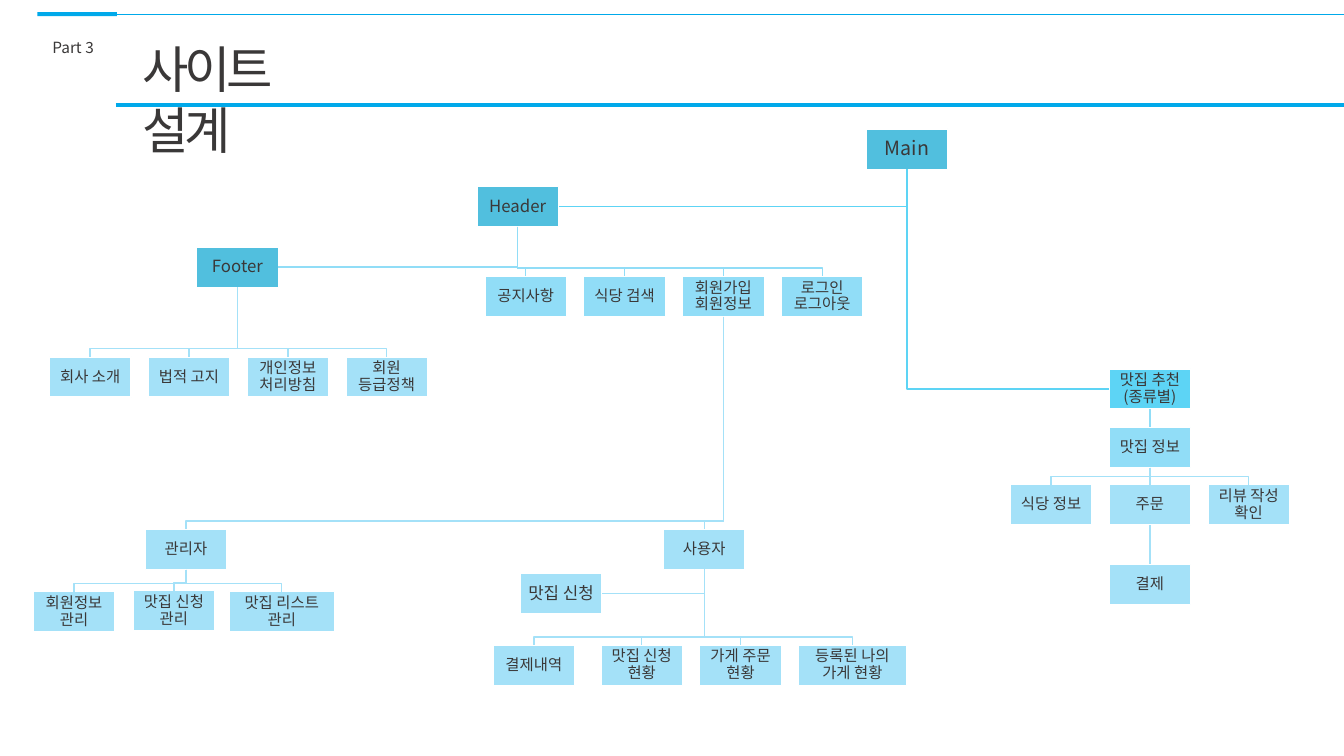
from dataclasses import dataclass

from lxml.etree import SubElement
from pptx import Presentation
from pptx.dml.color import RGBColor
from pptx.enum.shapes import MSO_CONNECTOR as CONNECTOR, MSO_SHAPE as SHAPE
from pptx.enum.text import MSO_ANCHOR as ANCHOR, PP_ALIGN as ALIGN
from pptx.oxml.ns import qn
from pptx.util import Inches, Pt

FONT = "Noto Sans CJK KR"
COLORS = {
    "accent": "00A9EA", "text": "3A3838", "white": "FFFFFF",
    "section": "51BFDE", "pick": "5DD4F5", "menu": "91DDF7", "page": "A4E1F8",
}
NODE_W, NODE_H = 0.81, 0.4
STEP = 0.98  # distance between neighbouring nodes
STUB = 0.08  # last vertical piece of a link


@dataclass
class Box:
    left: float
    top: float
    width: float = NODE_W
    height: float = NODE_H

    @property
    def center(self):
        return self.left + self.width / 2

    @property
    def middle(self):
        return self.top + self.height / 2

    @property
    def right(self):
        return self.left + self.width

    @property
    def bottom(self):
        return self.top + self.height

    def inches(self):
        return [Inches(v) for v in (self.left, self.top, self.width, self.height)]


def color(name):
    return RGBColor.from_string(COLORS[name])


# Basic parts
def write(frame, text, size, align=ALIGN.LEFT, spacing=1.0):
    paragraph = frame.paragraphs[0]
    paragraph.text = text
    paragraph.alignment = align
    paragraph.line_spacing = spacing
    font = paragraph.font
    font.size, font.name = Pt(size), FONT
    font.color.rgb = color("text")
    props = paragraph._p.pPr.find(qn("a:defRPr"))
    east_asian = SubElement(props, qn("a:ea"))
    east_asian.set("typeface", FONT)
    props.find(qn("a:latin")).addnext(east_asian)
    return props


def line(slide, x1, y1, x2, y2, color_name, weight):
    rule = slide.shapes.add_connector(
        CONNECTOR.STRAIGHT, *[Inches(v) for v in (x1, y1, x2, y2)])
    rule.line.color.rgb = color(color_name)
    rule.line.width = Pt(weight)
    SubElement(rule._element.spPr, qn("a:effectLst"))


def block(slide, box, fill):
    rect = slide.shapes.add_shape(SHAPE.RECTANGLE, *box.inches())
    rect.shadow.inherit = False
    rect.fill.solid()
    rect.fill.fore_color.rgb = color(fill)
    rect.line.fill.background()
    return rect


def node(slide, text, left, top, fill="page", size=11, width=NODE_W):
    box = Box(left, top, width)
    rect = block(slide, box, fill)
    rect.line.color.rgb = color("white")
    rect.line.width = Pt(1)
    frame = rect.text_frame
    frame.word_wrap = True
    frame.vertical_anchor = ANCHOR.MIDDLE
    frame.margin_left = frame.margin_right = Inches(0.01)
    frame.margin_top = frame.margin_bottom = Inches(0.01)
    write(frame, text, size, ALIGN.CENTER, 0.9)
    return box


def row(slide, texts, left, top, fill="page"):
    return [node(slide, text, left + i * STEP, top, fill) for i, text in enumerate(texts)]


# Links between nodes
def elbow(slide, points, color_name):
    (x, y), *rest = points
    builder = slide.shapes.build_freeform(Inches(x), Inches(y))
    builder.add_line_segments([(Inches(a), Inches(b)) for a, b in rest], close=False)
    path = builder.convert_to_shape()
    path.shadow.inherit = False
    path.fill.background()
    path.line.color.rgb = color(color_name)
    path.line.width = Pt(1)


def link_down(slide, parent, children, color_name="page"):
    for child in children:
        x, end, bus = parent.center, child.center, child.top - STUB
        if abs(x - end) < 0.01:
            line(slide, x, parent.bottom, x, child.top, color_name, 1)
        else:
            elbow(slide, [(x, parent.bottom), (x, bus), (end, bus), (end, child.top)],
                  color_name)


def link_side(slide, parent, child, color_name="page"):
    x = parent.center
    end = child.right if child.right < x else child.left
    elbow(slide, [(x, parent.bottom), (x, child.middle), (end, child.middle)], color_name)


# Regions of the slide
def title_band(slide, box):
    x, y = box.left, box.top
    line(slide, x + 0.78, y + 0.9, box.right, y + 0.9, "accent", 3)
    line(slide, x + 0.78, y, box.right, y, "accent", 0.5)
    block(slide, Box(x, y - 0.02, 0.79, 0.04), "accent")

    title = slide.shapes.title
    title.left, title.top, title.width, title.height = Box(x + 0.94, y + 0.19, 2.3, 0.71).inches()
    title.text_frame.word_wrap = True
    title.text_frame.vertical_anchor = ANCHOR.TOP
    write(title.text_frame, "사이트 설계", 36).set("spc", "-300")

    part = slide.shapes.add_textbox(*Box(x + 0.05, y + 0.19, 0.71, 0.29).inches())
    part.text_frame.word_wrap = True
    write(part.text_frame, "Part 3", 11)


def header_branch(slide, box):
    header = node(slide, "Header", box.left, box.top, "section", 12)
    menus = row(slide, ["공지사항", "식당 검색", "회원가입\n회원정보", "로그인\n로그아웃"],
                box.left + 0.08, box.top + 0.89, "menu")
    link_down(slide, header, menus, "menu")
    return header, menus[2]


def footer_branch(slide, box):
    footer = node(slide, "Footer", box.left + 1.46, box.top, "section", 12)
    pages = row(slide, ["회사 소개", "법적 고지", "개인정보\n처리방침", "회원\n등급정책"],
                box.left, box.top + 1.09)
    link_down(slide, footer, pages)
    return footer


def admin_branch(slide, box):
    x, y = box.left, box.top
    admin = node(slide, "관리자", x + 1.11, y)
    pages = [node(slide, "회원정보\n관리", x, y + 0.62),
             node(slide, "맛집 신청\n관리", x + 0.99, y + 0.61),
             node(slide, "맛집 리스트\n관리", x + 1.94, y + 0.62, width=1.05)]
    link_down(slide, admin, pages)
    return admin


def user_branch(slide, box):
    x, y = box.left, box.top
    user = node(slide, "사용자", x + 1.69, y)
    request = node(slide, "맛집 신청", x + 0.27, y + 0.44, size=12)
    pages = [node(slide, "결제내역", x, y + 1.15),
             *row(slide, ["맛집 신청\n현황", "가게 주문\n현황"], x + 1.07, y + 1.15),
             node(slide, "등록된 나의\n가게 현황", x + 3.03, y + 1.15, width=1.07)]
    link_down(slide, user, pages)
    link_side(slide, user, request)
    return user


def pick_branch(slide, box):
    x, y = box.left, box.top
    picks = node(slide, "맛집 추천\n(종류별)", x + STEP, y, "pick")
    info = node(slide, "맛집 정보", x + STEP, y + 0.58, "menu")
    pages = row(slide, ["식당 정보", "주문", "리뷰 작성\n확인"], x, y + 1.15)
    payment = node(slide, "결제", x + STEP, y + 1.94)
    link_down(slide, picks, [info], "menu")
    link_down(slide, info, pages)
    link_down(slide, pages[1], [payment])
    return picks


def site_map(slide, box):
    x, y = box.left, box.top
    main = node(slide, "Main", x + 8.26, y, "section", 14)
    header, members = header_branch(slide, Box(x + 4.4, y + 0.57))
    footer = footer_branch(slide, Box(x + 0.16, y + 1.17))
    admin = admin_branch(slide, Box(x, y + 3.97))
    user = user_branch(slide, Box(x + 4.56, y + 3.97))
    picks = pick_branch(slide, Box(x + 9.69, y + 2.38))
    link_side(slide, main, header, "pick")
    link_side(slide, main, picks, "pick")
    link_side(slide, header, footer, "menu")
    link_down(slide, members, [admin, user])


def main():
    deck = Presentation()
    deck.slide_width, deck.slide_height = Inches(13.33), Inches(7.5)
    slide = deck.slides.add_slide(deck.slide_layouts[5])
    title_band(slide, Box(0.37, 0.14, 12.96, 0.9))
    site_map(slide, Box(0.33, 1.28, 12.46, 5.52))
    deck.save("out.pptx")


if __name__ == "__main__":
    main()
